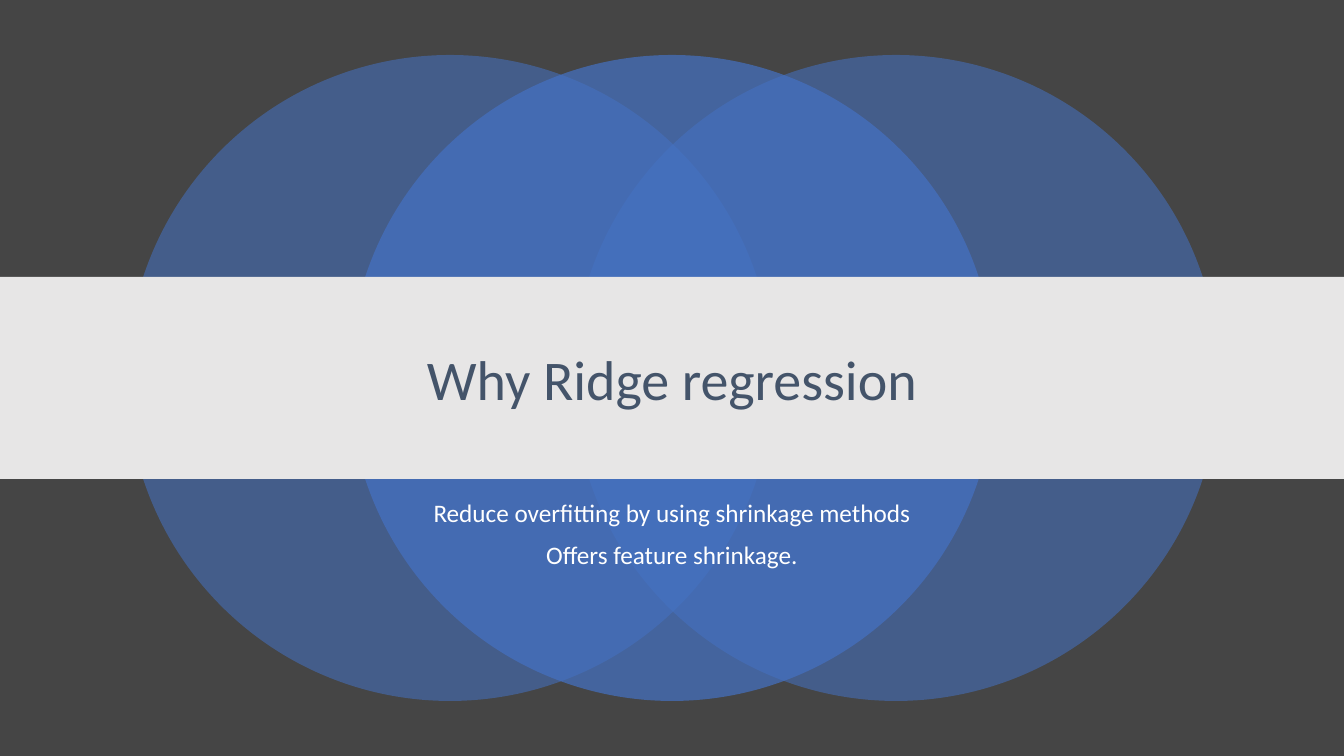
from dataclasses import dataclass

from lxml.etree import SubElement
from pptx import Presentation
from pptx.dml.color import RGBColor
from pptx.enum.shapes import MSO_SHAPE
from pptx.enum.text import MSO_ANCHOR, MSO_AUTO_SIZE, PP_ALIGN
from pptx.oxml.ns import qn
from pptx.shapes.autoshape import Shape
from pptx.shapes.placeholder import SlidePlaceholder
from pptx.util import Emu, Pt

SLIDE_WIDTH = 1344
SLIDE_HEIGHT = 756
EMU_PER_PX = 12192000 / SLIDE_WIDTH

CHARCOAL = RGBColor(0x45, 0x45, 0x45)
BLUE = RGBColor(0x44, 0x72, 0xC4)
LIGHT_GRAY = RGBColor(0xE7, 0xE6, 0xE6)
SLATE = RGBColor(0x44, 0x54, 0x6A)
WHITE = RGBColor(0xFF, 0xFF, 0xFF)

FONT_NAME = "Calibri"
CIRCLE_TOP = 55
CIRCLE_DIAMETER = 646


@dataclass(frozen=True)
class Box:
    left: int
    top: int
    width: int
    height: int


@dataclass(frozen=True)
class Circle:
    left: int
    opacity_percent: int


@dataclass(frozen=True)
class TextBlock:
    placeholder_index: int
    box: Box
    lines: tuple[str, ...]
    size: int
    color: RGBColor
    anchor: MSO_ANCHOR
    space_before: int


CIRCLES = (Circle(127, 55), Circle(573, 55), Circle(349, 70))
BAND = Box(0, 277, SLIDE_WIDTH, 202)
TEXT_BLOCKS = (
    TextBlock(0, Box(168, 306, 1008, 152), ("Why Ridge regression",),
              40, SLATE, MSO_ANCHOR.MIDDLE, 0),
    TextBlock(1, Box(168, 496, 1008, 84),
              ("Reduce overfitting by using shrinkage methods",
               "Offers feature shrinkage."),
              18, WHITE, MSO_ANCHOR.TOP, 10),
)


def px(length: int) -> Emu:
    return Emu(round(length * EMU_PER_PX))


def bounds(box: Box) -> tuple[Emu, Emu, Emu, Emu]:
    return px(box.left), px(box.top), px(box.width), px(box.height)


def apply_format(target: object, values: dict[str, object]) -> None:
    for name, value in values.items():
        setattr(target, name, value)


def add_filled_shape(shapes, kind: MSO_SHAPE, box: Box, color: RGBColor) -> Shape:
    shape = shapes.add_shape(kind, *bounds(box))
    shape.shadow.inherit = False
    shape.fill.solid()
    shape.fill.fore_color.rgb = color
    shape.line.fill.background()
    return shape


def add_circle(shapes, circle: Circle) -> None:
    box = Box(circle.left, CIRCLE_TOP, CIRCLE_DIAMETER, CIRCLE_DIAMETER)
    shape = add_filled_shape(shapes, MSO_SHAPE.OVAL, box, BLUE)
    color = shape.element.spPr.find(f"{qn('a:solidFill')}/{qn('a:srgbClr')}")
    SubElement(color, qn("a:alpha"), val=str(circle.opacity_percent * 1000))


def fill_placeholder(placeholder: SlidePlaceholder, block: TextBlock) -> None:
    left, top, width, height = bounds(block.box)
    apply_format(placeholder, {
        "left": left, "top": top, "width": width, "height": height})
    text_frame = placeholder.text_frame
    text_frame.text = "\n".join(block.lines)
    apply_format(text_frame, {
        "word_wrap": True,
        "auto_size": MSO_AUTO_SIZE.NONE,
        "vertical_anchor": block.anchor,
    })
    for paragraph in text_frame.paragraphs:
        apply_format(paragraph, {
            "alignment": PP_ALIGN.CENTER,
            "line_spacing": 0.9,
            "space_before": Pt(block.space_before),
        })
        for run in paragraph.runs:
            apply_format(run.font, {"name": FONT_NAME, "size": Pt(block.size)})
            run.font.color.rgb = block.color
    placeholder.element.getparent().append(placeholder.element)


def main() -> None:
    presentation = Presentation()
    presentation.slide_width = px(SLIDE_WIDTH)
    presentation.slide_height = px(SLIDE_HEIGHT)
    slide = presentation.slides.add_slide(presentation.slide_layouts[0])
    slide.background.fill.solid()
    slide.background.fill.fore_color.rgb = CHARCOAL

    circle_group = slide.shapes.add_group_shape()
    for circle in CIRCLES:
        add_circle(circle_group.shapes, circle)
    add_filled_shape(slide.shapes, MSO_SHAPE.RECTANGLE, BAND, LIGHT_GRAY)
    for block in TEXT_BLOCKS:
        fill_placeholder(slide.placeholders[block.placeholder_index], block)

    presentation.save("out.pptx")


if __name__ == "__main__":
    main()
